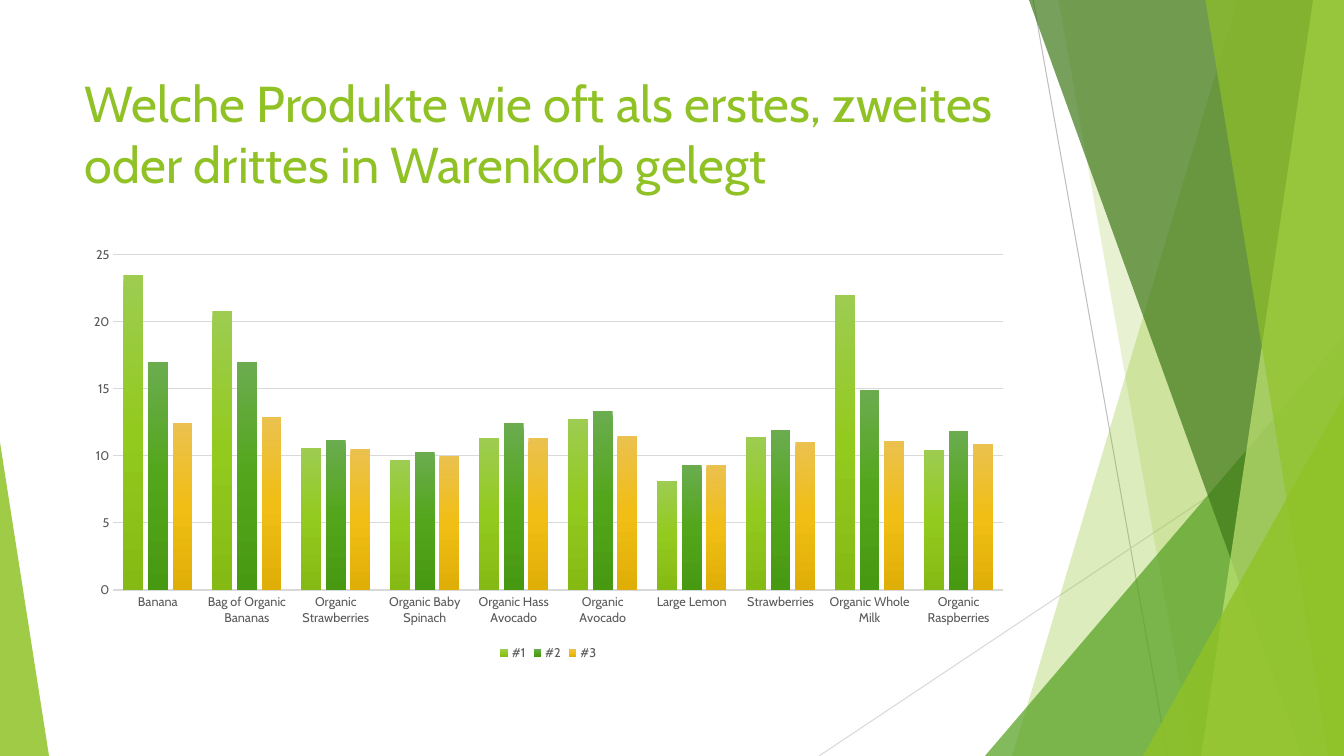
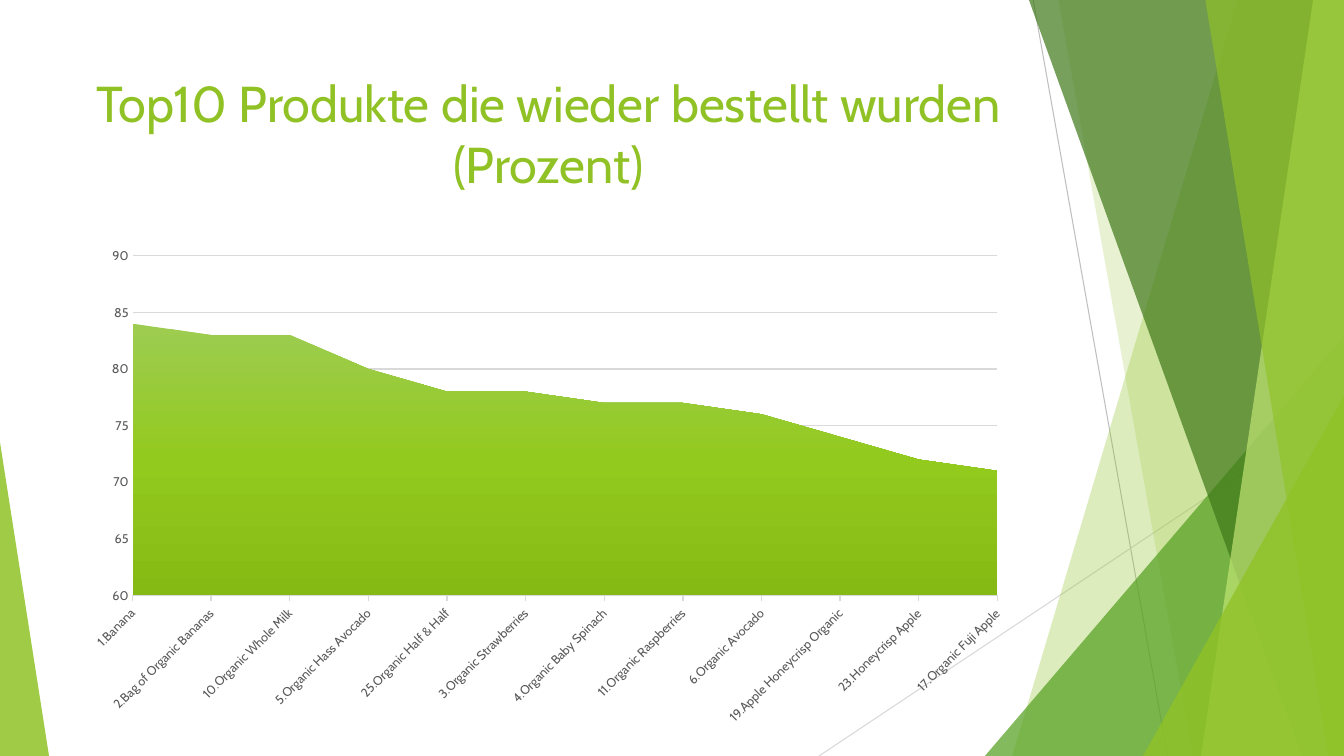
"""Builds two chart slides about ordered products on a shared green layout."""
import copy
import dataclasses

import lxml.etree
import pptx
import pptx.chart.data
import pptx.dml.color
import pptx.enum.chart
import pptx.enum.shapes
import pptx.enum.text
import pptx.oxml.ns
import pptx.util


@dataclasses.dataclass(frozen=True)
class Theme:
    """Colours, type sizes and page measures of the deck."""
    font: str = "Cabin"
    title_size: float = 36
    chart_size: float = 10
    label_size: float = 9
    width: float = 960
    height: float = 540
    left: float = 53.5
    content_width: float = 676.5
    title_top: float = 48
    title_height: float = 104
    chart_top: float = 170
    lime: str = "90C226"
    pale_lime: str = "C0E474"
    green: str = "54A021"
    dark_green: str = "3F7819"
    label: str = "595959"
    black: str = "000000"
    rule: str = "D9D9D9"
    dark_rule: str = "BFBFBF"
    lime_fade: tuple = ("9DCC51", "93CA1E", "85BA14")
    green_fade: tuple = ("6BAC4F", "53A61B", "489912")
    gold_fade: tuple = ("EBC14F", "F0BE14", "E0AF07")


THEME = Theme()
RIGHT_ALIGNED, LEFT_ALIGNED = 1, 0


def points(*lengths):
    """Returns the lengths as a list of point measures."""
    return [pptx.util.Pt(length) for length in lengths]


def rgb(code):
    """Returns the colour of a hexadecimal code."""
    return pptx.dml.color.RGBColor.from_string(code)


def style_font(font, size, color):
    """Applies the deck's typeface with a size and a colour."""
    font.name = THEME.font
    font.size = pptx.util.Pt(size)
    font.color.rgb = rgb(color)


def style_line(line, color, width):
    """Gives a line its colour and width."""
    line.color.rgb = rgb(color)
    line.width = pptx.util.Pt(width)


def paint_facet(facet, color, opacity):
    """Fills a facet with a translucent colour and no outline."""
    facet.shadow.inherit = False
    facet.fill.solid()
    facet.fill.fore_color.rgb = rgb(color)
    facet.line.fill.background()
    tint = facet.element.spPr.find(".//" + pptx.oxml.ns.qn("a:srgbClr"))
    lxml.etree.SubElement(tint, pptx.oxml.ns.qn("a:alpha"), val=str(opacity * 1000))


def add_ray(shapes, start, end, color):
    """Draws a thin straight line."""
    ray = shapes.add_connector(pptx.enum.shapes.MSO_CONNECTOR.STRAIGHT, *points(*start, *end))
    style_line(ray.line, color, 0.75)
    lxml.etree.SubElement(ray.element.spPr, pptx.oxml.ns.qn("a:effectLst"))


def add_band(shapes, top_x, bottom_x, color, opacity):
    """Draws a full-height band from a slanted edge to the right margin."""
    outline = shapes.build_freeform(*points(top_x, 0), scale=1.0)
    corners = [(THEME.width, 0), (THEME.width, THEME.height), (bottom_x, THEME.height)]
    outline.add_line_segments([points(*corner) for corner in corners], close=True)
    paint_facet(outline.convert_to_shape(), color, opacity)


def add_corner(shapes, left, top, width, apex, color, opacity):
    """Draws a right triangle that stands on the bottom edge."""
    corner = shapes.add_shape(
        pptx.enum.shapes.MSO_SHAPE.ISOSCELES_TRIANGLE,
        *points(left, top, width, THEME.height - top))
    corner.adjustments[0] = apex
    paint_facet(corner, color, opacity)


def decorate_layout(layout, slide):
    """Draws the facets once and hands them to the layout, behind its title."""
    facets = slide.shapes.add_group_shape()
    shapes = facets.shapes
    add_ray(shapes, (738, 0), (834, THEME.height), THEME.dark_rule)
    add_ray(shapes, (THEME.width, 290), (585, THEME.height), THEME.rule)
    add_band(shapes, 884, 723, THEME.lime, 30)
    add_band(shapes, 756, 852, THEME.lime, 20)
    add_corner(shapes, 703.5, 240, 256.5, RIGHT_ALIGNED, THEME.green, 72)
    add_band(shapes, 735, 930, THEME.dark_green, 70)
    add_band(shapes, 938, 858, THEME.pale_lime, 70)
    add_band(shapes, 861, 949, THEME.lime, 65)
    add_corner(shapes, 816.5, 283, 143.5, RIGHT_ALIGNED, THEME.lime, 80)
    add_corner(shapes, 0, 316, 35, LEFT_ALIGNED, THEME.lime, 85)
    layout.shapes.element.insert(2, facets.element)


def place_title(layout):
    """Sets the title position that all slides inherit."""
    title = layout.placeholders[0]
    title.left, title.top, title.width, title.height = points(
        THEME.left, THEME.title_top, THEME.content_width, THEME.title_height)


def set_title(slide, wording, alignment):
    """Writes and formats the slide title."""
    frame = slide.shapes.title.text_frame
    frame.text = wording
    frame.word_wrap = True
    frame.auto_size = pptx.enum.text.MSO_AUTO_SIZE.NONE
    frame.vertical_anchor = pptx.enum.text.MSO_ANCHOR.TOP
    heading = frame.paragraphs[0]
    heading.alignment = alignment
    style_font(heading.runs[0].font, THEME.title_size, THEME.lime)


def fade_series(series, colors):
    """Fills a series with a vertical gradient of evenly spaced colours."""
    fill = series.format.fill
    fill.gradient()
    fill.gradient_angle = 270
    stop_list = series._element.find(".//" + pptx.oxml.ns.qn("a:gsLst"))
    stop_list.insert(1, copy.deepcopy(stop_list[0]))
    for index, (stop, color) in enumerate(zip(fill.gradient_stops, colors)):
        stop.position = index / (len(colors) - 1)
        stop.color.rgb = rgb(color)


def style_axes(chart, low, high, category_tick):
    """Formats both axes and the gridlines."""
    for axis in (chart.category_axis, chart.value_axis):
        axis.major_tick_mark = pptx.enum.chart.XL_TICK_MARK.NONE
        axis.minor_tick_mark = pptx.enum.chart.XL_TICK_MARK.NONE
        style_font(axis.tick_labels.font, THEME.label_size, THEME.label)
    chart.category_axis.major_tick_mark = category_tick
    style_line(chart.category_axis.format.line, THEME.rule, 1)
    scale = chart.value_axis
    scale.minimum_scale, scale.maximum_scale, scale.major_unit = low, high, 5
    scale.format.line.fill.background()
    scale.has_major_gridlines = True
    style_line(scale.major_gridlines.format.line, THEME.rule, 0.75)


def add_product_chart(slide, kind, height, products, series, fades):
    """Adds a chart of products and returns it."""
    figures = pptx.chart.data.CategoryChartData()
    figures.categories = products
    for name, values in series.items():
        figures.add_series(name, values)
    chart = slide.shapes.add_chart(
        kind, *points(THEME.left, THEME.chart_top, THEME.content_width, height), figures).chart
    chart.has_title = False
    chart.has_legend = False
    style_font(chart.font, THEME.chart_size, THEME.black)
    chart.plots[0].vary_by_categories = False
    for plotted, fade in zip(chart.plots[0].series, fades):
        fade_series(plotted, fade)
    return chart


def build_basket_slide(slide):
    """Shows how often products enter the basket first, second or third."""
    set_title(slide, "Welche Produkte wie oft als erstes, zweites oder drittes in Warenkorb gelegt",
              pptx.enum.text.PP_ALIGN.LEFT)
    products = ["Banana", "Bag of Organic Bananas", "Organic Strawberries",
                "Organic Baby Spinach", "Organic Hass Avocado", "Organic Avocado",
                "Large Lemon", "Strawberries", "Organic Whole Milk", "Organic Raspberries"]
    positions = {
        "#1": [23.5, 20.8, 10.6, 9.7, 11.3, 12.7, 8.1, 11.4, 22, 10.4],
        "#2": [17, 17, 11.2, 10.3, 12.4, 13.3, 9.3, 11.9, 14.9, 11.8],
        "#3": [12.4, 12.9, 10.5, 10, 11.3, 11.5, 9.3, 11, 11.1, 10.9],
    }
    chart = add_product_chart(
        slide, pptx.enum.chart.XL_CHART_TYPE.COLUMN_CLUSTERED, 305, products, positions,
        [THEME.lime_fade, THEME.green_fade, THEME.gold_fade])
    style_axes(chart, 0, 25, pptx.enum.chart.XL_TICK_MARK.NONE)
    chart.plots[0].gap_width = 100
    chart.plots[0].overlap = -24
    chart.has_legend = True
    chart.legend.position = pptx.enum.chart.XL_LEGEND_POSITION.BOTTOM
    chart.legend.include_in_layout = False
    style_font(chart.legend.font, THEME.label_size, THEME.label)


def build_reorder_slide(slide):
    """Shows the share of reorders of the top products."""
    set_title(slide, "Top10 Produkte die wieder bestellt wurden (Prozent)",
              pptx.enum.text.PP_ALIGN.CENTER)
    products = ["1.Banana", "2.Bag of Organic Bananas", "10.Organic Whole Milk",
                "5.Organic Hass Avocado", "25.Organic Half & Half", "3.Organic Strawberries",
                "4.Organic Baby Spinach", "11.Organic Raspberries", "6.Organic Avocado",
                "19.Apple Honeycrisp Organic", "23.Honeycrisp Apple", "17.Organic Fuji Apple"]
    shares = {"Series 1": [84, 83, 83, 80, 78, 78, 77, 77, 76, 74, 72, 71]}
    chart = add_product_chart(
        slide, pptx.enum.chart.XL_CHART_TYPE.AREA, 355, products, shares, [THEME.lime_fade])
    style_axes(chart, 60, 90, pptx.enum.chart.XL_TICK_MARK.OUTSIDE)
    slant = chart.category_axis._element.find(".//" + pptx.oxml.ns.qn("a:bodyPr"))
    slant.set("rot", "-2700000")
    crossing = chart.value_axis._element.find(pptx.oxml.ns.qn("c:crossBetween"))
    if crossing is not None:
        crossing.set("val", "midCat")


def main():
    """Builds and saves the deck."""
    deck = pptx.Presentation()
    deck.slide_width, deck.slide_height = points(THEME.width, THEME.height)
    layout = deck.slide_layouts.get_by_name("Title Only")
    place_title(layout)
    basket, reorders = (deck.slides.add_slide(layout) for _ in range(2))
    decorate_layout(layout, basket)
    build_basket_slide(basket)
    build_reorder_slide(reorders)
    deck.save("out.pptx")


if __name__ == "__main__":
    main()
